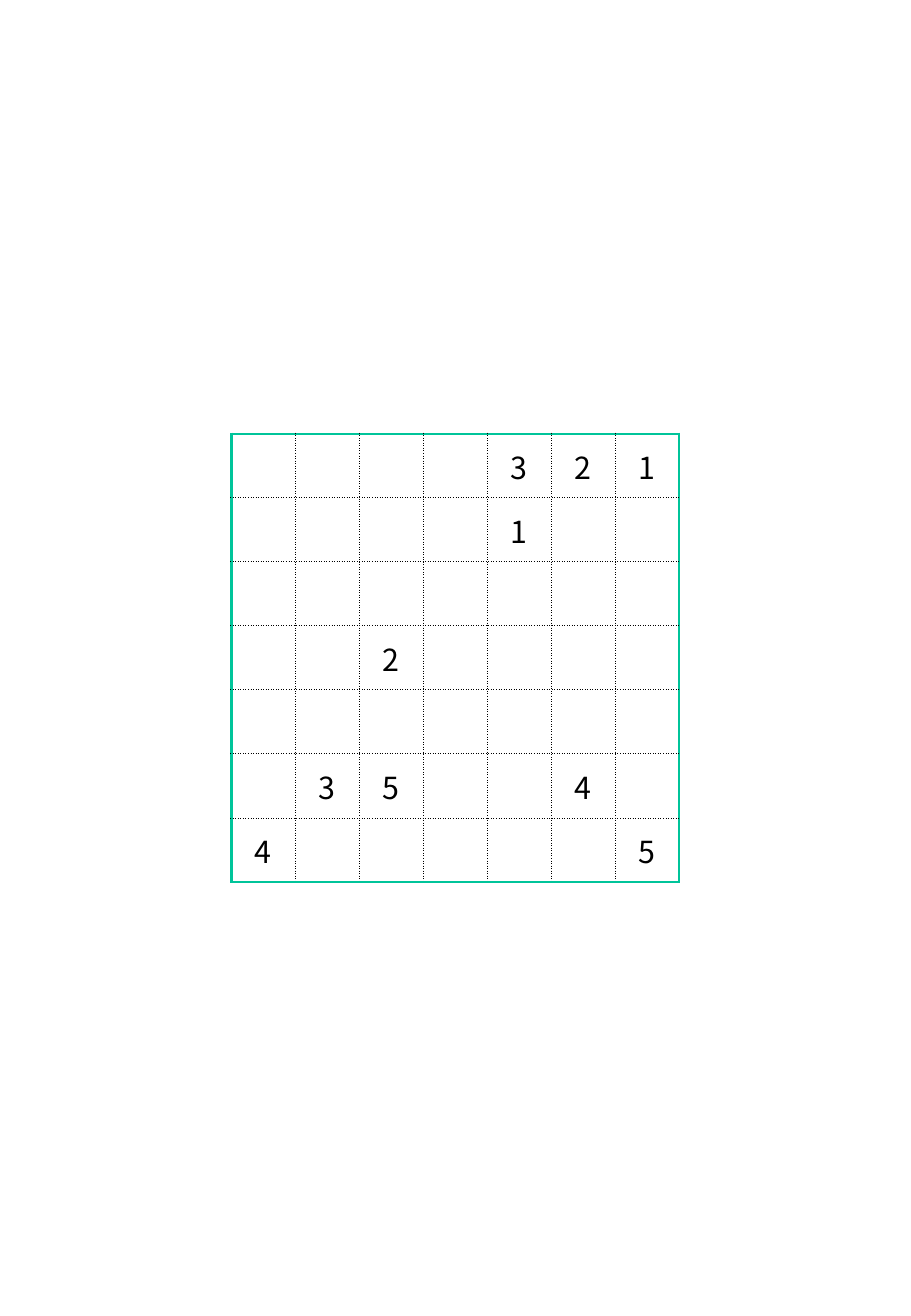
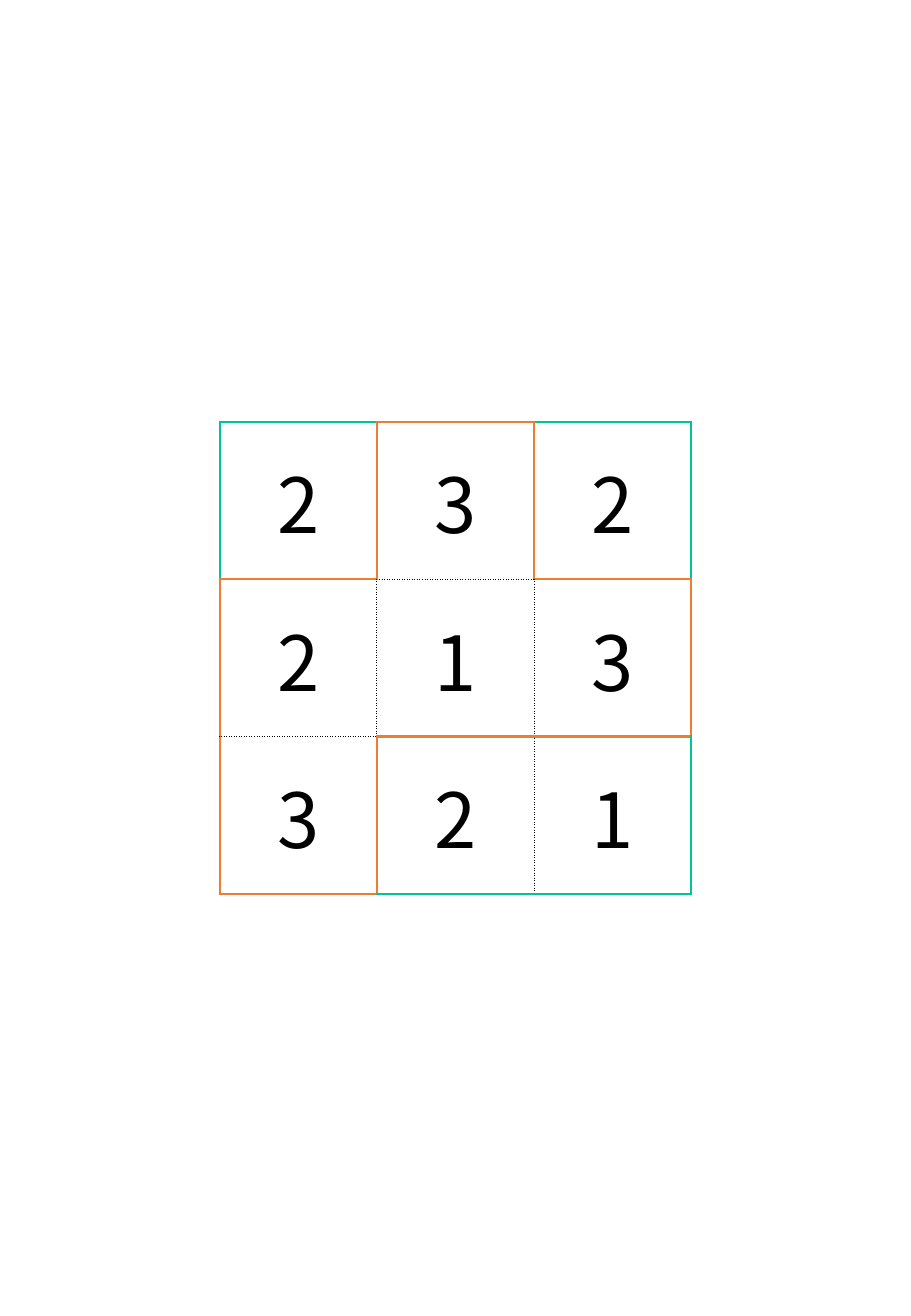
from lxml import etree
from pptx import Presentation
from pptx.dml.color import RGBColor
from pptx.enum import text
from pptx.oxml import ns
from pptx.util import Inches, Pt

COLORS = {"frame": "00C49A", "path": "ED7D31", "ink": "000000"}
FONT = "Noto Sans CJK JP"
NO_STYLE = "{2D5ABB26-0587-4C30-8999-92F81FD0307C}"
# Border codes: colour, width in points, dash
BORDERS = {
    "G": (COLORS["frame"], 1.5, "solid"),
    "O": (COLORS["path"], 1.5, "solid"),
    ".": (COLORS["ink"], 0.5, "dot"),
}
CELL_FORMAT = {
    "margin_left": 0, "margin_top": 0, "margin_right": 0, "margin_bottom": 0,
    "vertical_anchor": text.MSO_ANCHOR.MIDDLE,
}


def set_border(cell, side, code):
    """Draw one side (L, R, T or B) of a cell; an unknown code means no line."""
    line = etree.SubElement(cell._tc.get_or_add_tcPr(), ns.qn(f"a:ln{side}"))
    if code not in BORDERS:
        line.set("w", "0")
        etree.SubElement(line, ns.qn("a:noFill"))
        return
    color, width, dash = BORDERS[code]
    line.set("w", str(Pt(width)))
    fill = etree.SubElement(line, ns.qn("a:solidFill"))
    etree.SubElement(fill, ns.qn("a:srgbClr"), val=color)
    etree.SubElement(line, ns.qn("a:prstDash"), val=dash)


def add_grid(slide, side, digits, across, down, font_size):
    """Centre a square table; across and down hold the codes of its grid lines."""
    count = len(digits)
    left, top = (prs.slide_width - side) // 2, (prs.slide_height - side) // 2
    grid = slide.shapes.add_table(count, count, left, top, side, side).table
    grid.first_row = grid.horz_banding = False
    grid._tbl.tblPr.find(ns.qn("a:tableStyleId")).text = NO_STYLE
    for r, row_digits in enumerate(digits):
        for c, digit in enumerate(row_digits):
            cell = grid.cell(r, c)
            for name, value in CELL_FORMAT.items():
                setattr(cell, name, value)
            set_border(cell, "L", down[r][c])
            set_border(cell, "R", down[r][c + 1])
            set_border(cell, "T", across[r][c])
            set_border(cell, "B", across[r + 1][c])
            cell.fill.background()
            if digit == " ":
                continue
            paragraph = cell.text_frame.paragraphs[0]
            paragraph.alignment = text.PP_ALIGN.CENTER
            run = paragraph.add_run()
            run.text = digit
            run.font.size, run.font.name = Pt(font_size), FONT
            run.font.color.rgb = RGBColor.from_string(COLORS["ink"])


prs = Presentation()
prs.slide_width, prs.slide_height = Inches(7.5), Inches(10.83)
puzzle, detail = [prs.slides.add_slide(prs.slide_layouts[6]) for _ in range(2)]

# Puzzle: a ruled board with the clues in a table on top
board_side = Inches(3.69)
clues = [
    "    321",
    "    1  ",
    "       ",
    "  2    ",
    "       ",
    " 35  4 ",
    "4     5",
]
add_grid(puzzle, board_side, [" " * 7] * 7,
         across=["G" * 7, *["." * 7] * 6, "G" * 7],
         down=["G......G"] * 7, font_size=18)
add_grid(puzzle, board_side, clues,
         across=["-" * 7] * 8, down=["-" * 8] * 7, font_size=18)

# Detail: a three by three board inside a ring of empty cells
add_grid(detail, Inches(6.47),
         ["     ", " 232 ", " 213 ", " 321 ", "     "],
         across=["-----", "-GOG-", "-O.O-", "-.OO-", "-OGG-", "-----"],
         down=["------", "-GOOG-", "-O..O-", "-OO.G-", "------"],
         font_size=45)

prs.save("out.pptx")
